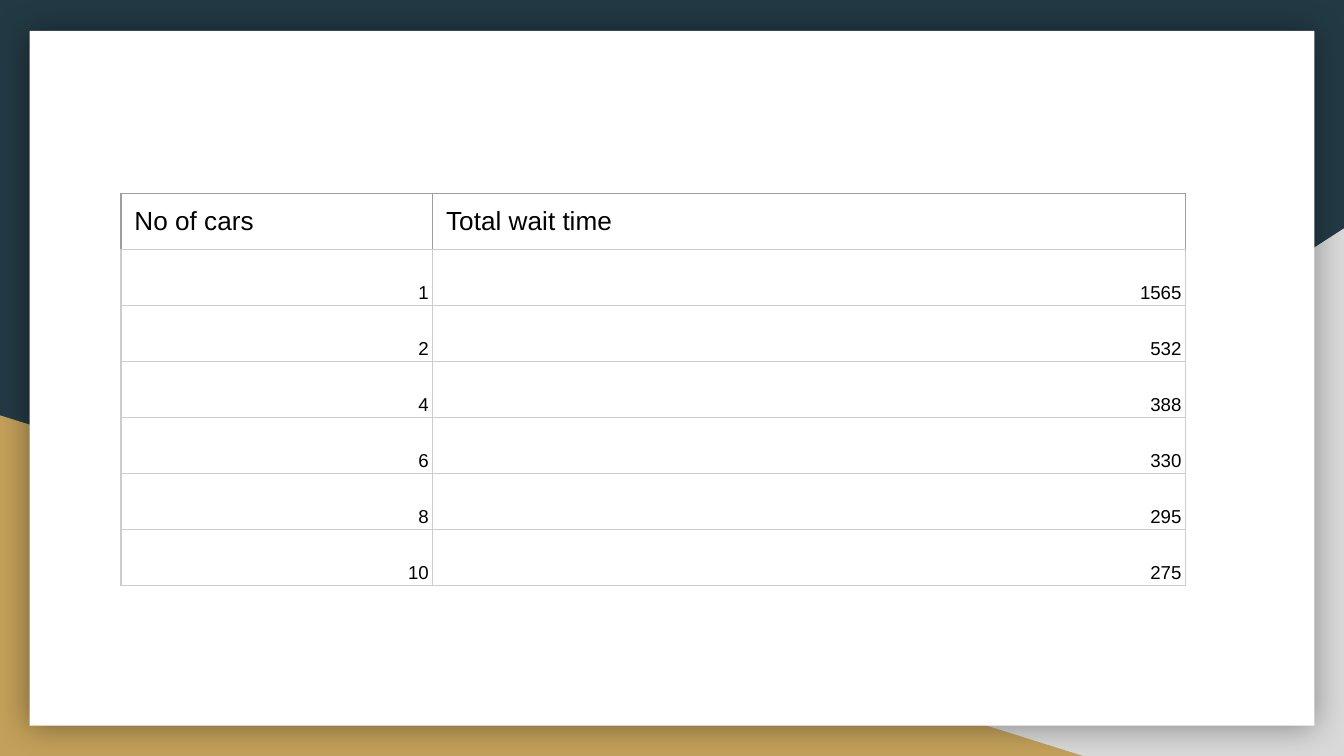
from lxml import etree
from pptx import Presentation
from pptx.dml.color import RGBColor
from pptx.enum.shapes import MSO_SHAPE
from pptx.enum.text import MSO_ANCHOR, PP_ALIGN
from pptx.oxml.ns import qn
from pptx.util import Inches, Pt

RECT, WEDGE = MSO_SHAPE.RECTANGLE, MSO_SHAPE.RIGHT_TRIANGLE
TOP, BOTTOM = MSO_ANCHOR.TOP, MSO_ANCHOR.BOTTOM
LEFT, RIGHT = PP_ALIGN.LEFT, PP_ALIGN.RIGHT

COLORS = {
    "back": "233A44",
    "gray": "D9D9D9",
    "gold": "C4A15A",
    "card": "FFFFFF",
    "text": "000000",
    "grid": "CCCCCC",
    "head": "9E9E9E",
}
WIDE = 10
HIGH = WIDE * 9 / 16
HEADS = ("No of cars", "Total wait time")
WAITS = ((1, 1565), (2, 532), (4, 388), (6, 330), (8, 295), (10, 275))
WIDTHS = (2.32, 5.6)
ROW = 5 / 12


def rgb(name):
    return RGBColor.from_string(COLORS[name])


def add_sub(parent, tag, **attrs):
    """Append a child element with the given attributes."""
    node = etree.SubElement(parent, qn(tag))
    for key, value in attrs.items():
        node.set(key, str(value))
    return node


def add_panel(slide, kind, box, color, flip=False):
    panel = slide.shapes.add_shape(kind, *map(Inches, box))
    panel.shadow.inherit = False
    panel.fill.solid()
    panel.fill.fore_color.rgb = rgb(color)
    panel.line.fill.background()
    if flip:
        panel.element.spPr.find(qn("a:xfrm")).set("flipH", "1")
    return panel


def add_glow(panel, blur, alpha):
    """Spread a soft dark shadow evenly around the panel."""
    effects = panel.element.spPr.find(qn("a:effectLst"))
    shadow = add_sub(effects, "a:outerShdw", blurRad=Pt(blur), dist=0, dir=0,
                     algn="ctr", rotWithShape=0)
    color = add_sub(shadow, "a:srgbClr", val=COLORS["text"])
    add_sub(color, "a:alpha", val=alpha * 1000)


def set_edges(cell, sides, bottom):
    props = cell._tc.get_or_add_tcPr()
    for tag, name in (("a:lnL", sides), ("a:lnR", sides),
                      ("a:lnT", sides), ("a:lnB", bottom)):
        line = add_sub(props, tag, w=Pt(0.75))
        fill = add_sub(line, "a:solidFill")
        add_sub(fill, "a:srgbClr", val=COLORS[name])


def write(cell, text, size=10, align=RIGHT, anchor=BOTTOM,
          pad=(0.03, 0.02), spacing=1.15):
    cell.margin_left = cell.margin_right = Inches(pad[0])
    cell.margin_top = cell.margin_bottom = Inches(pad[1])
    cell.vertical_anchor = anchor
    para = cell.text_frame.paragraphs[0]
    para.alignment = align
    para.line_spacing = spacing
    run = para.add_run()
    run.text = str(text)
    run.font.size = Pt(size)
    run.font.name = "Arial"
    run.font.color.rgb = rgb("text")


def add_waits(slide):
    count = len(WAITS) + 1
    frame = slide.shapes.add_table(
        count, len(WIDTHS), Inches(0.9), Inches(1.44),
        Inches(sum(WIDTHS)), Inches(ROW * count))
    table = frame.table
    table.first_row = table.horz_banding = False
    for column, width in zip(table.columns, WIDTHS):
        column.width = Inches(width)
    for i, values in enumerate((HEADS, *WAITS)):
        table.rows[i].height = Inches(ROW)
        for j, value in enumerate(values):
            cell = table.cell(i, j)
            set_edges(cell, "grid" if i else "head", "grid")
            cell.fill.background()
            if i:
                write(cell, value)
            else:
                write(cell, value, size=14, align=LEFT, anchor=TOP,
                      pad=(0.1, 0.1), spacing=1.0)


def main():
    deck = Presentation()
    deck.slide_width, deck.slide_height = Inches(WIDE), Inches(HIGH)
    slide = deck.slides.add_slide(deck.slide_layouts[6])
    slide.background.fill.solid()
    slide.background.fill.fore_color.rgb = rgb("back")
    add_panel(slide, WEDGE, (3.92, 1.7, 6.08, HIGH - 1.7), "gray", flip=True)
    add_panel(slide, WEDGE, (0, 3.09, 8.06, HIGH - 3.09), "gold")
    card = add_panel(slide, RECT, (0.22, 0.23, 9.56, 5.17), "card")
    add_glow(card, blur=18, alpha=40)
    add_waits(slide)
    deck.save("out.pptx")


if __name__ == "__main__":
    main()
